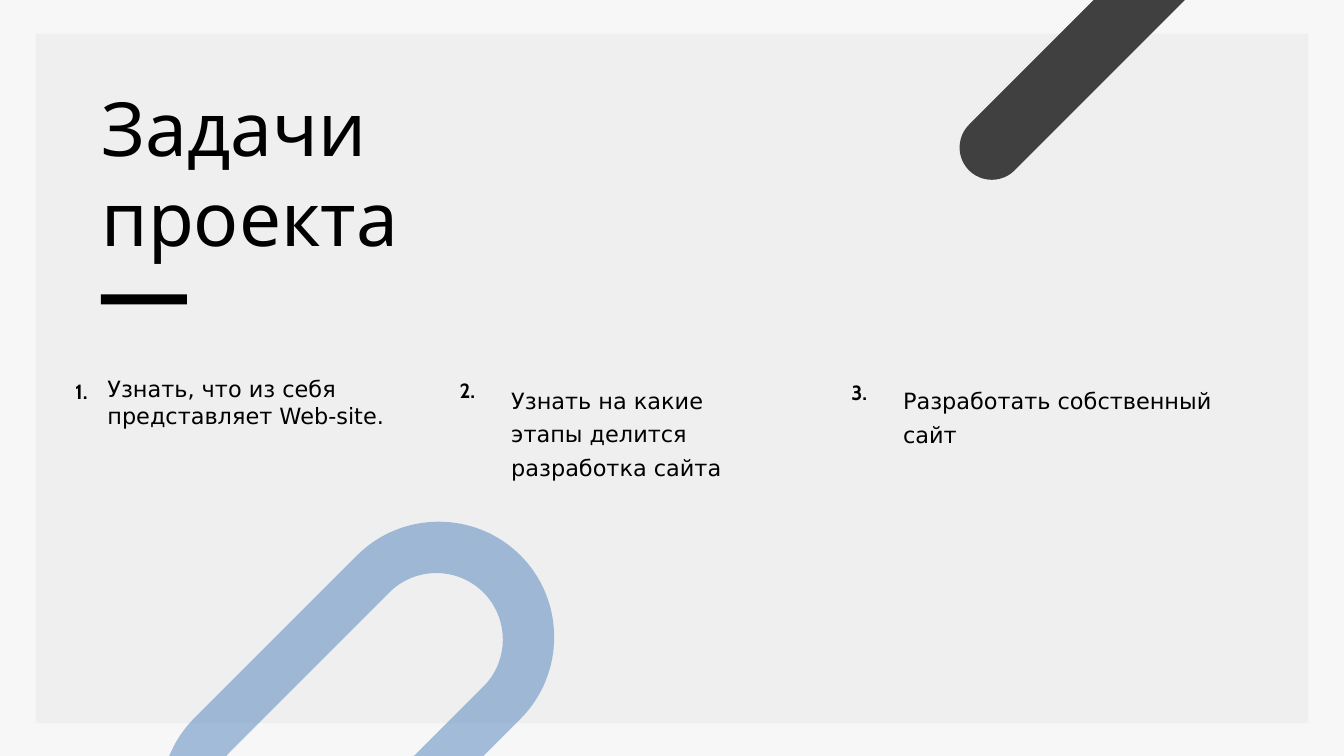
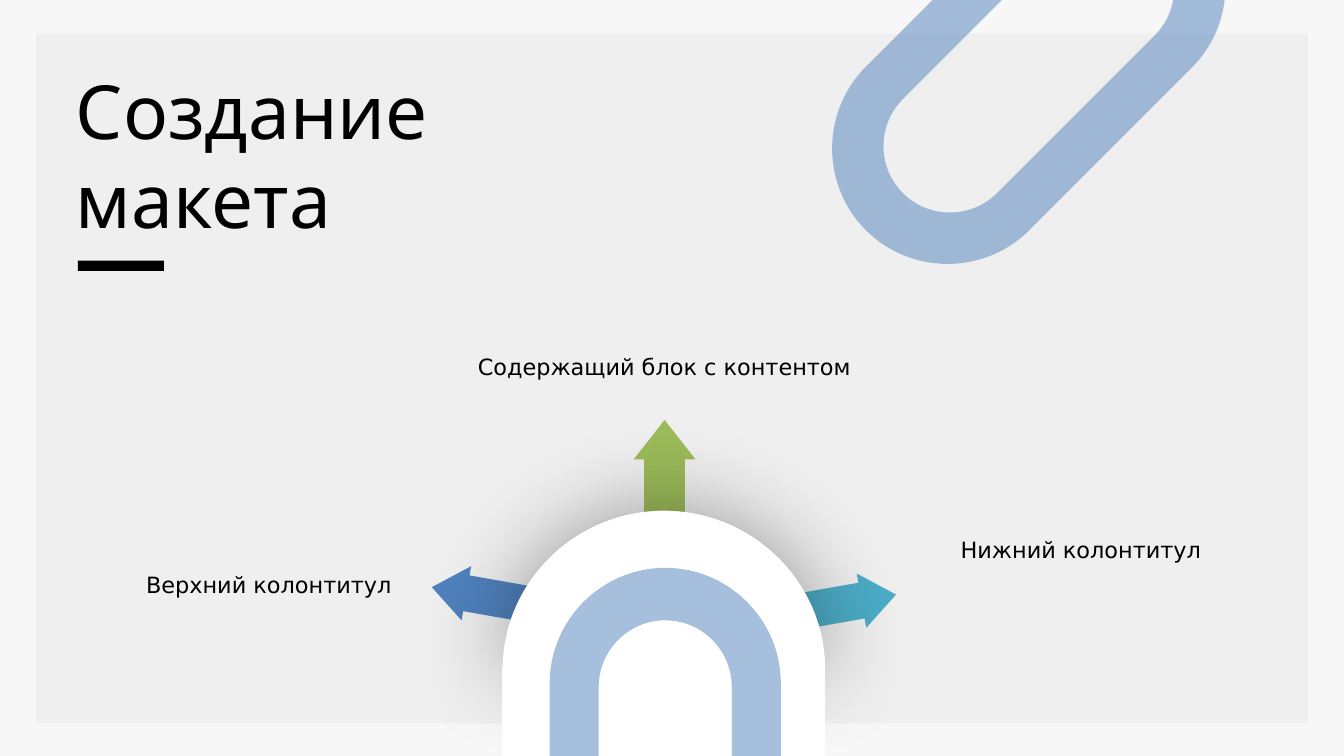
from math import cos, radians, sin

from lxml.etree import SubElement
from pptx import Presentation
from pptx.dml.color import RGBColor
from pptx.enum.shapes import MSO_SHAPE as Preset
from pptx.enum.text import MSO_AUTO_SIZE as AutoSize, PP_ALIGN as Align
from pptx.oxml.ns import qn
from pptx.util import Inches, Pt

BACKDROP = RGBColor(0xF7, 0xF7, 0xF7)
PANEL = RGBColor(0xEF, 0xEF, 0xEF)
BLACK = RGBColor(0, 0, 0)
WHITE = RGBColor(0xFF, 0xFF, 0xFF)
GRAPHITE = RGBColor(0x40, 0x40, 0x40)
BLUE = RGBColor(0x4F, 0x81, 0xBD)
GREEN = RGBColor(0x9B, 0xBB, 0x59)
TEAL = RGBColor(0x4B, 0xAC, 0xC6)
TITLE_FONT = "Cabin"
BODY_FONT = "DejaVu Sans"
BEND = 0.55


def paint(shape, colour, rotation=0):
    shape.fill.solid()
    shape.fill.fore_color.rgb = colour
    shape.line.fill.background()
    shape.shadow.inherit = False
    shape.rotation = rotation
    return shape


def write(page, place, lines, size, font, bold=False, inset=True, align=Align.LEFT, spacing=None):
    box = page.shapes.add_textbox(*map(Inches, place))
    frame = box.text_frame
    frame.word_wrap = True
    frame.auto_size = AutoSize.SHAPE_TO_FIT_TEXT
    if not inset:
        frame.margin_left = frame.margin_top = frame.margin_right = frame.margin_bottom = 0
    para = frame.paragraphs[0]
    para.alignment = align
    if spacing:
        para.line_spacing = spacing
        para.space_before = Pt(1)
    for number, line in enumerate(lines):
        if number:
            para.add_line_break()
        span = para.add_run()
        span.text = line
        span.font.size = Pt(size)
        span.font.name = font
        span.font.bold = bold
        span.font.color.rgb = BLACK


deck = Presentation()
deck.slide_width = Inches(20)
deck.slide_height = Inches(11.25)
blank = deck.slide_layouts[6]
tasks = deck.slides.add_slide(blank)
mockup = deck.slides.add_slide(blank)

for placeholder in list(blank.placeholders):
    placeholder.element.getparent().remove(placeholder.element)
for place, colour in (((0, 0, 20, 11.25), BACKDROP), ((0.53, 0.5, 18.94, 10.26), PANEL)):
    panel = paint(tasks.shapes.add_shape(Preset.RECTANGLE, *map(Inches, place)), colour)
    blank.shapes.element.append(panel.element)

for page, title_place, lines, bar_left, bar_top in (
    (tasks, (1.51, 1.22, 6.47, 2.71), ["Задачи проекта"], 1.5, 4.38),
    (mockup, (1.13, 0.96, 9.33, 2.69), ["Создание ", "макета"], 1.16, 3.88),
):
    write(page, title_place, lines, 80, TITLE_FONT, inset=False)
    bar = page.shapes.add_shape(
        Preset.RECTANGLE, Inches(bar_left), Inches(bar_top), Inches(1.28), Inches(0.15))
    paint(bar, BLACK)

for number, number_place, task, task_place, spacing in (
    ("1.", (1.12, 5.64, 5.33, 0.38), "Узнать, что из себя представляет Web-site.",
     (1.5, 5.53, 5.03, 0.91), None),
    ("2.", (6.84, 5.63, 5.33, 0.38), "Узнать на какие этапы делится разработка сайта",
     (7.51, 5.61, 4, 1.56), 1.25),
    ("3.", (12.67, 5.65, 5, 0.38), "Разработать собственный сайт",
     (13.34, 5.61, 5.33, 1.05), 1.25),
):
    write(tasks, number_place, [number], 22, TITLE_FONT, bold=True, inset=False)
    write(tasks, task_place, [task], 24, BODY_FONT, spacing=spacing)

capsule = tasks.shapes.add_shape(
    Preset.ROUNDED_RECTANGLE, Inches(13.37), Inches(-0.48), Inches(7.17), Inches(0.96))
capsule.adjustments[0] = 0.5
paint(capsule, GRAPHITE, 315)

for place, colour, rotation in (
    ((9.43, 6.25, 0.92, 2.35), GREEN, 0),
    ((7.73, 7.3, 0.82, 3.48), BLUE, 280),
    ((11.21, 7.41, 0.82, 3.48), TEAL, 80),
):
    arrow = mockup.shapes.add_shape(Preset.UP_ARROW, *map(Inches, place))
    arrow.adjustments[0] = 0.659
    arrow.adjustments[1] = 0.637
    paint(arrow, colour, rotation)

DOME_CAPS = [[(0, 180, 2.4, 2.36)]]
RING_CAPS = [[(half, -90, radius, radius), (-half, 90, radius, radius)]
             for half, radius in ((1.71, 1.72), (1.66, 0.99))]
curved = []
for page, centre_x, centre_y, contours, colour, rotation in (
    (mockup, 9.88, 9.96, DOME_CAPS, WHITE, 0),
    (tasks, 5.32, 10.69, RING_CAPS, BLUE, 315),
    (mockup, 15.31, 1, RING_CAPS, BLUE, 315),
    (mockup, 9.9, 11.88, RING_CAPS, BLUE, 270),
):
    builder = None
    for caps in contours:
        points = []
        for shift, start, radius_x, radius_y in caps:
            turn_x, turn_y = cos(radians(start)), sin(radians(start))
            for along, across in ((1, 0), (1, BEND), (BEND, 1), (0, 1),
                                  (-BEND, 1), (-1, BEND), (-1, 0)):
                x = along * turn_x - across * turn_y
                y = along * turn_y + across * turn_x
                points.append((Inches(centre_x + shift + radius_x * x),
                               Inches(centre_y + radius_y * y)))
        if builder:
            builder.move_to(*points[0])
        else:
            builder = page.shapes.build_freeform(*points[0])
        builder.add_line_segments(points[1:])
    shape = paint(builder.convert_to_shape(), colour, rotation)
    outline = next(shape.element.iter(qn("a:path")))
    steps = [step for step in outline if step.tag != qn("a:close")]
    # each cap holds one start and two curves
    for first in range(0, len(steps), 7):
        for begin in (first + 1, first + 4):
            curve = SubElement(outline, qn("a:cubicBezTo"))
            steps[begin].addprevious(curve)
            for step in steps[begin:begin + 3]:
                curve.append(step[0])
                outline.remove(step)
    curved.append(shape)

dome, *rings = curved
effects = dome.element.spPr.find(qn("a:effectLst"))
glow = SubElement(effects, qn("a:outerShdw"), blurRad=str(Pt(100)), algn="ctr", rotWithShape="0")
shade = SubElement(glow, qn("a:srgbClr"), val="0D0D0D")
SubElement(shade, qn("a:alpha"), val="40000")
for ring in rings:
    tint = ring.element.spPr.find(qn("a:solidFill"))[0]
    SubElement(tint, qn("a:alpha"), val="50000")

base = mockup.shapes.add_shape(
    Preset.RECTANGLE, Inches(7.48), Inches(9.96), Inches(4.79), Inches(1.87))
paint(base, WHITE)
base.line.color.rgb = WHITE
base.line.width = Pt(2)
dome.element.addnext(base.element)

for label, place in (
    ("Верхний колонтитул", (1.54, 8.45, 4.92, 0.5)),
    ("Содержащий блок с контентом", (6.8, 5.2, 6.17, 0.5)),
    ("Нижний колонтитул", (13, 7.93, 6.17, 0.5)),
):
    write(mockup, place, [label], 24, BODY_FONT, align=Align.CENTER)

deck.save("out.pptx")
